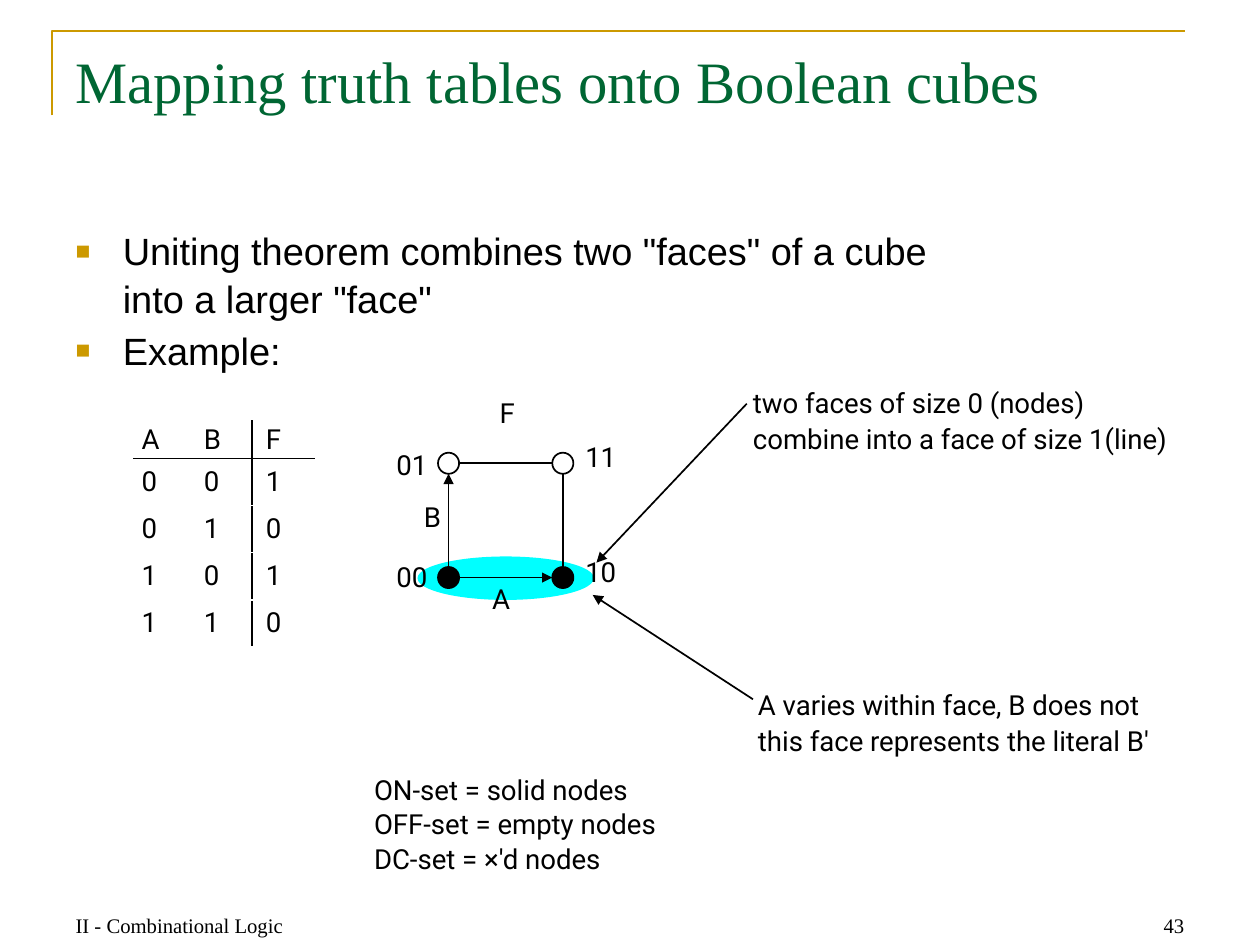
from lxml import etree
from pptx import Presentation
from pptx.dml.color import RGBColor
from pptx.enum import shapes, text
from pptx.oxml import ns
from pptx.util import Inches, Pt

BLACK = RGBColor(0, 0, 0)
WHITE = RGBColor(255, 255, 255)
GOLD = RGBColor(0xCC, 0x99, 0x00)
GREEN = RGBColor(0x00, 0x66, 0x33)
CYAN = RGBColor(0x00, 0xFF, 0xFF)
SERIF, SANS, LABEL = "Times New Roman", "Arial", "Roboto"


def child(parent, tag, **attrs):
    return etree.SubElement(parent, ns.qn(tag), **attrs)


def style(para, font, size, color=BLACK):
    for run in para.runs:
        run.font.name = font
        run.font.size = Pt(size)
        run.font.color.rgb = color


def write(slide, words, box, font, size, color=BLACK):
    """Text box with one paragraph per line of words; \\v breaks a line."""
    frame = slide.shapes.add_textbox(*map(Inches, box)).text_frame
    frame.word_wrap = True
    frame.text = words
    for para in frame.paragraphs:
        style(para, font, size, color)
    return frame


def label(slide, words, box, pitch=16):
    frame = write(slide, words, box, LABEL, 16)
    frame.word_wrap = False
    frame.margin_left = frame.margin_right = Inches(0.02)
    frame.margin_top = frame.margin_bottom = Inches(0.03)
    frame.paragraphs[0].line_spacing = Pt(pitch)


def join(slide, start, end, arrow=False):
    line = slide.shapes.add_connector(
        shapes.MSO_CONNECTOR.STRAIGHT, *map(Inches, (*start, *end)))
    line.line.color.rgb = BLACK
    line.line.width = Pt(1)
    if arrow:
        child(line.line._get_or_add_ln(), "a:tailEnd", type="triangle")
    child(line._element.spPr, "a:effectLst")


def oval(slide, box, fill, edge=None):
    shape = slide.shapes.add_shape(
        shapes.MSO_SHAPE.OVAL, *map(Inches, box))
    shape.shadow.inherit = False
    shape.fill.solid()
    shape.fill.fore_color.rgb = fill
    if edge is None:
        shape.line.fill.background()
    else:
        shape.line.color.rgb = edge
        shape.line.width = Pt(1)


def header(slide, x, y, w):
    pen = slide.shapes.build_freeform(
        Inches(x), Inches(y + 0.68))
    pen.add_line_segments([(Inches(x), Inches(y)),
                           (Inches(x + w), Inches(y))], close=False)
    rule = pen.convert_to_shape()
    rule.shadow.inherit = False
    rule.fill.background()
    rule.line.color.rgb = GOLD
    rule.line.width = Pt(1.5)
    write(slide, "Mapping truth tables onto Boolean cubes",
          (x + 0.09, y + 0.06, w, 1.26), SERIF, 34, GREEN)


def points(slide, box):
    words = ('Uniting theorem combines two "faces" of a cube\v'
             'into a larger "face"\nExample:')
    frame = write(slide, words, box, SANS, 22)
    for para in frame.paragraphs:
        para.line_spacing = Pt(27.5)
        props = para._p.get_or_add_pPr()
        props.set("marL", str(Inches(0.38)))
        props.set("indent", str(-Inches(0.38)))
        child(child(props, "a:buClr"), "a:srgbClr", val=str(GOLD))
        child(props, "a:buSzPct", val="65000")
        child(props, "a:buFont", typeface=SANS)
        child(props, "a:buChar", char="■")
    frame.paragraphs[1].space_before = Pt(2.5)


def border(cell, *sides):
    """Draw black sides; list them in the order left, right, top, bottom."""
    props = cell._tc.get_or_add_tcPr()
    for spot, side in enumerate(sides):
        line = etree.Element(ns.qn("a:ln" + side), w=str(Pt(1)))
        child(child(line, "a:solidFill"), "a:srgbClr", val=str(BLACK))
        props.insert(spot, line)


def truth(slide, x, y):
    rows = ["ABF", "001", "010", "101", "110"]
    widths, insets = (0.48, 0.47, 0.5), (0.06, 0.08, 0.11)
    table = slide.shapes.add_table(
        len(rows), 3, Inches(x), Inches(y), Inches(1.45), Inches(1.82)).table
    table.first_row = table.horz_banding = False
    for col, width in zip(table.columns, widths):
        col.width = Inches(width)
    for r, values in enumerate(rows):
        table.rows[r].height = Inches(0.38 if r else 0.3)
        for c, value in enumerate(values):
            cell = table.cell(r, c)
            cell.text = value
            cell.fill.background()
            cell.vertical_anchor = text.MSO_ANCHOR.MIDDLE
            cell.margin_left = Inches(insets[c])
            cell.margin_right = cell.margin_top = cell.margin_bottom = 0
            style(cell.text_frame.paragraphs[0], LABEL, 16)
            sides = [None, "R", "L"][c], {0: "B", 1: "T"}.get(r)
            border(cell, *filter(None, sides))


def cube(slide, x, y):
    """Square of four nodes, with the top left node centred at x, y."""
    side, rad = 0.92, 0.085
    right, low = x + side, y + side
    oval(slide, (x - 0.25, low - 0.17, 1.42, 0.35), CYAN)
    join(slide, (x + rad, low), (right - rad, low), True)
    join(slide, (x, low - rad), (x, y + rad), True)
    join(slide, (x + rad, y), (right - rad, y))
    join(slide, (right, y + rad), (right, low - rad))
    for cx in (x, right):
        for cy, fill in ((y, WHITE), (low, BLACK)):
            oval(slide, (cx - rad, cy - rad, 2 * rad, 2 * rad), fill, BLACK)
    for words, dx, dy in (("F", 0.39, -0.53), ("01", -0.44, -0.11),
                          ("11", 1.08, -0.17), ("B", -0.22, 0.31),
                          ("00", -0.44, 0.79), ("10", 1.08, 0.75),
                          ("A", 0.33, 0.97)):
        label(slide, words, (x + dx, y + dy, 0.75, 0.36))


def notes(slide, x, y):
    label(slide, "two faces of size 0 (nodes)\v"
          "combine into a face of size 1(line)", (x, y, 3.46, 1.01), 21)
    join(slide, (x - 0.03, y + 0.2), (x - 1.24, y + 1.48), True)
    label(slide, "A varies within face, B does not\v"
          "this face represents the literal B'",
          (x + 0.04, y + 2.43, 3.5, 0.67), 21)
    join(slide, (x + 0.02, y + 2.58), (x - 1.27, y + 1.74), True)


def footer(slide, x, y, w):
    part = 2.37
    for words, left, align in (
            ("II - Combinational Logic", x, text.PP_ALIGN.LEFT),
            ("43", x + w - part, text.PP_ALIGN.RIGHT)):
        frame = write(slide, words, (left, y, part, 0.51), SERIF, 12)
        frame.vertical_anchor = text.MSO_ANCHOR.BOTTOM
        frame.paragraphs[0].alignment = align


def main():
    deck = Presentation()
    deck.slide_width, deck.slide_height = Inches(10.14), Inches(7.6)
    slide = deck.slides.add_slide(deck.slide_layouts[6])
    header(slide, 0.42, 0.25, 9.12)
    points(slide, (0.51, 1.77, 9.12, 5.02))
    truth(slide, 1.08, 3.39)
    cube(slide, 3.61, 3.73)
    notes(slide, 6.04, 3.05)
    label(slide, "ON-set = solid nodes\vOFF-set = empty nodes\v"
          "DC-set = ×'d nodes", (2.99, 6.18, 2.49, 0.97), 20)
    footer(slide, 0.51, 7.09, 9.12)
    deck.save("out.pptx")


if __name__ == "__main__":
    main()
